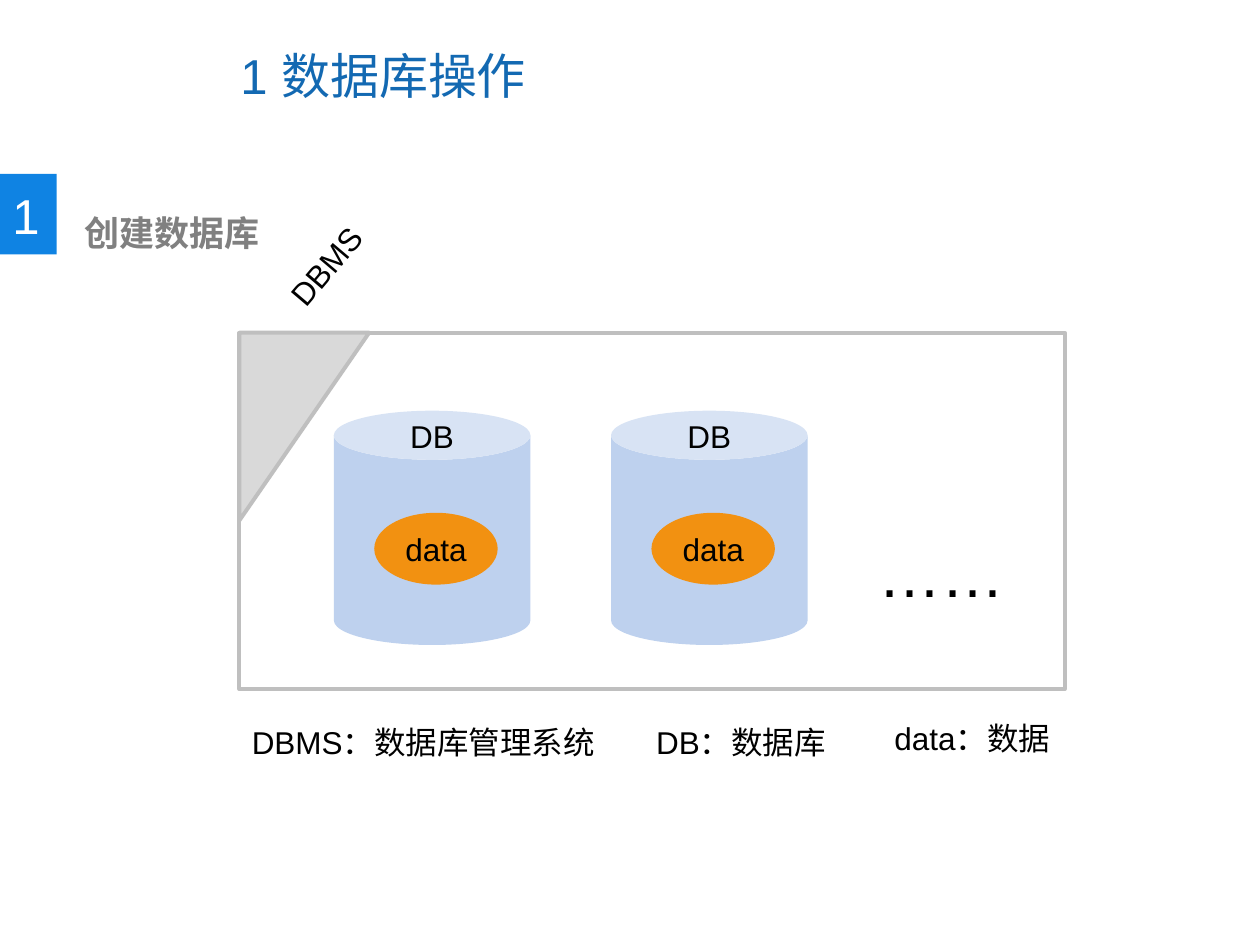
"""Build the slide that relates a DBMS, its databases and their data."""
import pptx
import pptx.dml.color
import pptx.enum.shapes
import pptx.enum.text
import pptx.util

Inches = pptx.util.Inches
Pt = pptx.util.Pt
RGBColor = pptx.dml.color.RGBColor
SHAPE = pptx.enum.shapes.MSO_SHAPE
ALIGN = pptx.enum.text.PP_ALIGN
ANCHOR = pptx.enum.text.MSO_ANCHOR

COLORS = {
    "title": "1369B2",
    "badge": "0F83E3",
    "heading": "808080",
    "border": "BFBFBF",
    "corner": "D9D9D9",
    "database": "BED1EE",
    "data": "F29111",
    "text": "000000",
    "white": "FFFFFF",
}

presentation = pptx.Presentation()
presentation.slide_width = Inches(10)
presentation.slide_height = Inches(7.5)
slide = presentation.slides.add_slide(presentation.slide_layouts[6])


def add_text(box, text, size=18, color="text", bold=False, wrap=True,
             align=ALIGN.LEFT, anchor=ANCHOR.TOP, rotation=0):
    """Add a text box at the given left, top, width and height."""
    shape = slide.shapes.add_textbox(*map(Inches, box))
    shape.rotation = rotation
    frame = shape.text_frame
    frame.word_wrap = wrap
    frame.vertical_anchor = anchor
    paragraph = frame.paragraphs[0]
    paragraph.text = text
    paragraph.alignment = align
    font_format = {"name": "Arial", "size": Pt(size), "bold": bold}
    for name, value in font_format.items():
        setattr(paragraph.font, name, value)
    paragraph.font.color.rgb = RGBColor.from_string(COLORS[color])


def add_figure(kind, box, fill=None, line=None, rotation=0):
    """Add a preset shape with an optional fill and outline."""
    shape = slide.shapes.add_shape(kind, *map(Inches, box))
    shape.shadow.inherit = False
    shape.rotation = rotation
    if fill:
        shape.fill.solid()
        shape.fill.fore_color.rgb = RGBColor.from_string(COLORS[fill])
    else:
        shape.fill.background()
    if line:
        shape.line.color.rgb = RGBColor.from_string(COLORS[line])
        shape.line.width = Pt(2.25)
    else:
        shape.line.fill.background()


add_text((1.81, 0.17, 5.16, 0.85), "1 数据库操作", size=28, color="title",
         anchor=ANCHOR.MIDDLE)
add_figure(SHAPE.RECTANGLE, (0, 1.38, 0.45, 0.64), fill="badge")
add_text((0, 1.42, 0.42, 0.57), "1", size=28, color="white", wrap=False)
add_text((0.57, 1.63, 5.04, 0.44), "创建数据库", size=20, color="heading", bold=True)

add_figure(SHAPE.RECTANGLE, (1.9, 2.64, 6.55, 2.83), line="border")
add_figure(SHAPE.RIGHT_TRIANGLE, (1.67, 2.87, 1.49, 1.03), fill="corner",
           line="border", rotation=90)
add_text((1.97, 1.91, 1.23, 0.4), "DBMS", align=ALIGN.CENTER, rotation=310.3)

for left in (2.65, 4.85):
    add_figure(SHAPE.CAN, (left, 3.26, 1.56, 1.86), fill="database")
    add_text((left, 3.26, 1.56, 0.4), "DB", align=ALIGN.CENTER)
    data_box = (left + 0.32, 4.07, 0.98, 0.57)
    add_figure(SHAPE.OVAL, data_box, fill="data")
    add_text(data_box, "data", align=ALIGN.CENTER, anchor=ANCHOR.MIDDLE)
add_text((6.87, 4.19, 1.21, 0.71), "……", size=36, wrap=False)

legend = [
    (1.9, 5.69, 3.13, "DBMS：数据库管理系统"),
    (5.11, 5.69, 1.81, "DB：数据库"),
    (7, 5.66, 1.45, "data：数据"),
]
for left, top, width, text in legend:
    add_text((left, top, width, 0.4), text)

presentation.save("out.pptx")
